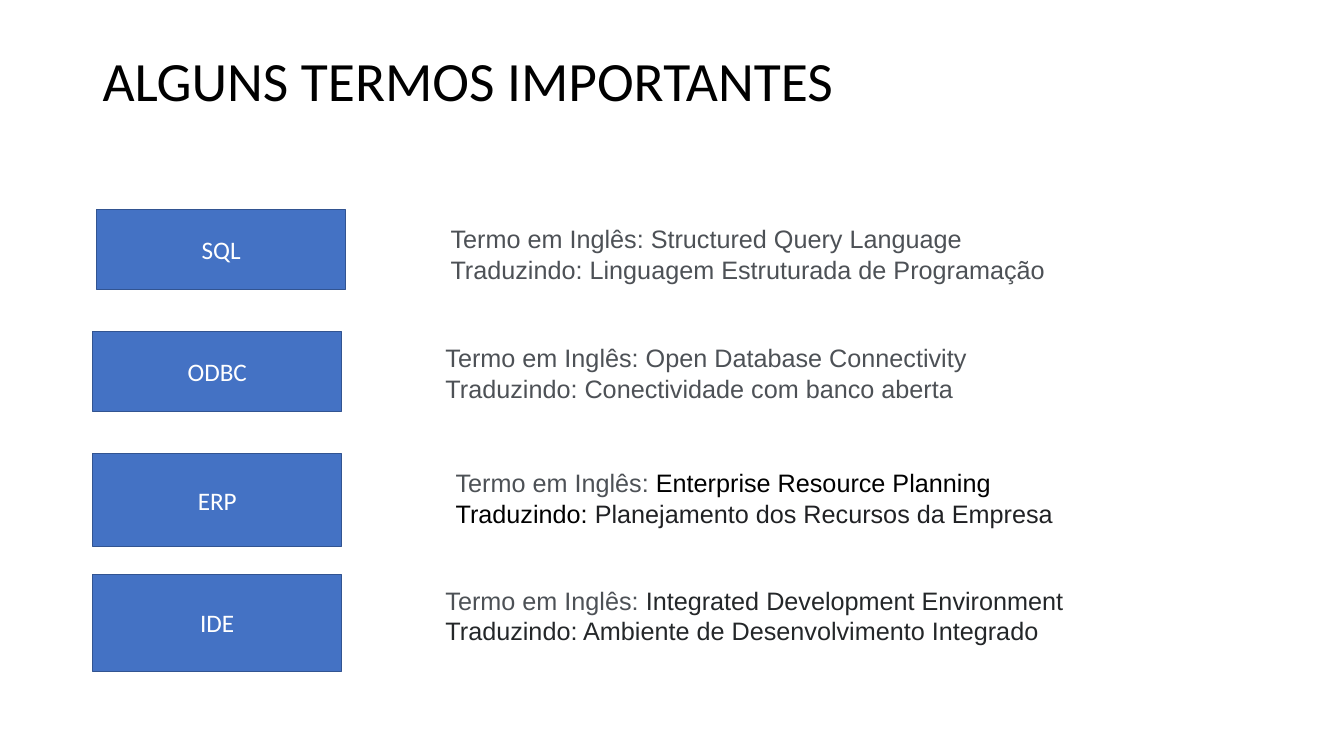
import pptx
import pptx.dml.color
import pptx.enum.shapes
import pptx.enum.text
import pptx.util

Inches = pptx.util.Inches
Pt = pptx.util.Pt
RGBColor = pptx.dml.color.RGBColor
MIDDLE = pptx.enum.text.MSO_ANCHOR.MIDDLE

BLUE = RGBColor(0x44, 0x72, 0xC4)
NAVY = RGBColor(0x32, 0x54, 0x91)
WHITE = RGBColor(0xFF, 0xFF, 0xFF)
BLACK = RGBColor(0x00, 0x00, 0x00)
GRAY = RGBColor(0x4D, 0x51, 0x56)
INK = RGBColor(0x20, 0x21, 0x24)
DARK = RGBColor(0x24, 0x27, 0x29)

ENGLISH = "Termo em Inglês: "
LOCAL = "Traduzindo: "

# Term, box (left, top, height), note (left, top, width), note lines of runs
TERMS = [
    ("SQL", (0.96, 2.08, 0.79), (4.37, 2.17, 6.29),
     [[(ENGLISH + "Structured Query Language", GRAY)],
      [(LOCAL + "Linguagem Estruturada de Programação", GRAY)]]),
    ("ODBC", (0.92, 3.29, 0.79), (4.32, 3.35, 5.42),
     [[(ENGLISH + "Open Database Connectivity", GRAY)],
      [(LOCAL + "Conectividade com banco aberta", GRAY)]]),
    ("ERP", (0.92, 4.5, 0.92), (4.42, 4.59, 6.18),
     [[(ENGLISH, GRAY), ("Enterprise Resource Planning", BLACK)],
      [(LOCAL, BLACK), ("Planejamento dos Recursos da Empresa", INK)]]),
    ("IDE", (0.92, 5.7, 0.96), (4.32, 5.76, 6.53),
     [[(ENGLISH, GRAY), ("Integrated Development Environment", DARK)],
      [(LOCAL + "Ambiente de Desenvolvimento Integrado", DARK)]]),
]


def add_run(para, text, font, size, color):
    run = para.add_run()
    run.text = text
    run.font.name = font
    run.font.size = Pt(size)
    run.font.color.rgb = color


def add_title(slide, text):
    box = slide.shapes.add_textbox(
        Inches(0.92), Inches(0.4), Inches(11.5), Inches(0.85))
    frame = box.text_frame
    frame.word_wrap = True
    frame.vertical_anchor = MIDDLE
    para = frame.paragraphs[0]
    para.line_spacing = 0.9
    add_run(para, text, "Calibri", 39.6, BLACK)


def add_term(slide, text, left, top, height):
    box = slide.shapes.add_shape(
        pptx.enum.shapes.MSO_SHAPE.RECTANGLE,
        Inches(left), Inches(top), Inches(2.47), Inches(height))
    box.shadow.inherit = False
    box.fill.solid()
    box.fill.fore_color.rgb = BLUE
    box.line.color.rgb = NAVY
    box.line.width = Pt(1)
    box.text_frame.vertical_anchor = MIDDLE
    para = box.text_frame.paragraphs[0]
    para.alignment = pptx.enum.text.PP_ALIGN.CENTER
    add_run(para, text, "Calibri", 18, WHITE)


def add_note(slide, lines, left, top, width):
    box = slide.shapes.add_textbox(
        Inches(left), Inches(top), Inches(width), Inches(0.71))
    frame = box.text_frame
    frame.word_wrap = True
    for i, line in enumerate(lines):
        para = frame.add_paragraph() if i else frame.paragraphs[0]
        for text, color in line:
            add_run(para, text, "Arial", 18, color)


def main():
    deck = pptx.Presentation()
    deck.slide_width = Inches(13.33)
    deck.slide_height = Inches(7.5)
    slide = deck.slides.add_slide(deck.slide_layouts[6])
    add_title(slide, "ALGUNS TERMOS IMPORTANTES")
    for term, box, note, lines in TERMS:
        add_term(slide, term, *box)
        add_note(slide, lines, *note)
    deck.save("out.pptx")


if __name__ == "__main__":
    main()
